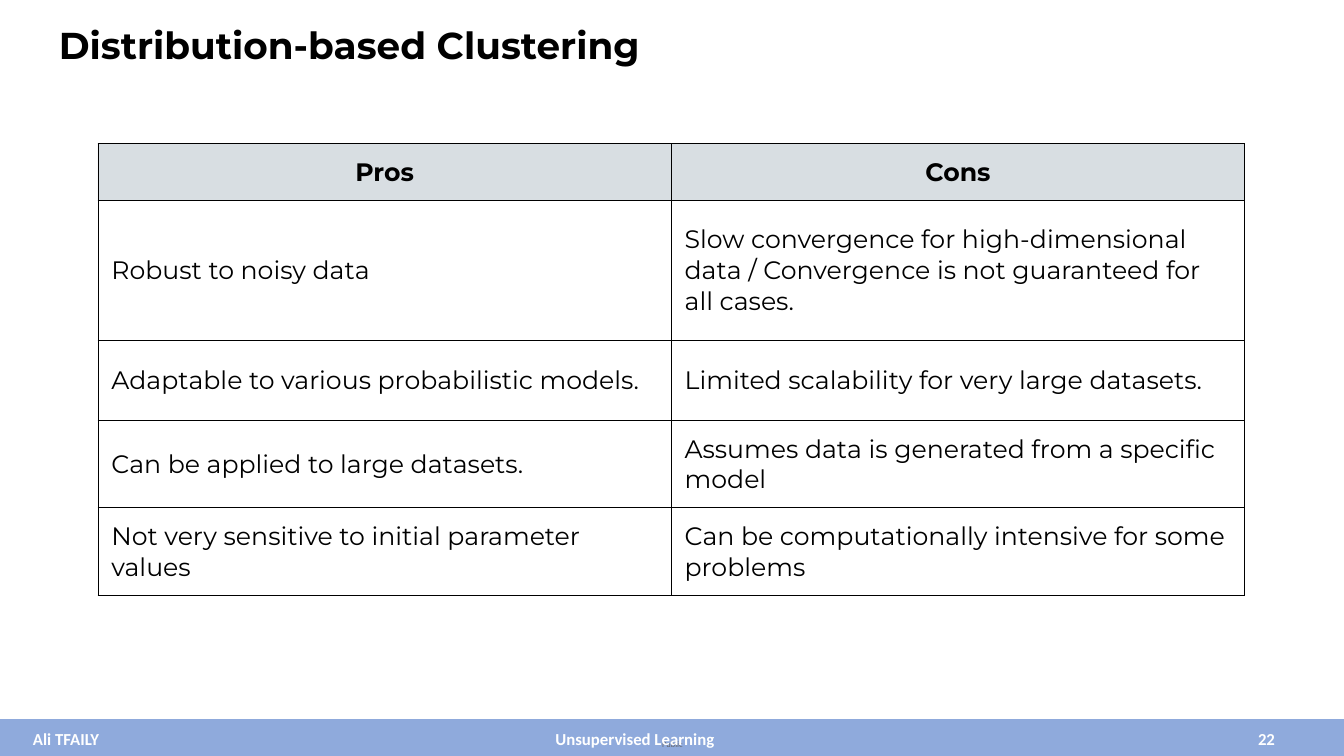
from lxml.etree import SubElement
from pptx import Presentation
from pptx.dml.color import RGBColor
from pptx.enum.shapes import MSO_SHAPE
from pptx.enum.text import MSO_ANCHOR, PP_ALIGN
from pptx.oxml.ns import qn
from pptx.util import Pt

BLACK, WHITE, GREY = "000000", "FFFFFF", "626469"
BAR_BLUE, HEADER_BLUE = "8FAADC", "4E6B7C"
HEADER_ALPHA = 22
CELL_INSET = 9.6
PROS_AND_CONS = [
    ("Pros", "Cons"),
    ("Robust to noisy data",
     "Slow convergence for high-dimensional data / "
     "Convergence is not guaranteed for all cases."),
    ("Adaptable to various probabilistic models.",
     "Limited scalability for very large datasets."),
    ("Can be applied to large datasets.",
     "Assumes data is generated from a specific model"),
    ("Not very sensitive to initial parameter values",
     "Can be computationally intensive for some problems"),
]
ROW_HEIGHTS = [36, 100, 57, 57, 57]
COLUMN_WIDTH = 409.5


def rgb(color):
    return RGBColor.from_string(color)


def style(paragraph, font, size, color, bold, align=PP_ALIGN.LEFT):
    paragraph.alignment = align
    paragraph.font.name = font
    paragraph.font.size = Pt(size)
    paragraph.font.bold = bold
    paragraph.font.color.rgb = rgb(color)


def set_insets(target, left, top, right, bottom):
    target.margin_left, target.margin_top = Pt(left), Pt(top)
    target.margin_right, target.margin_bottom = Pt(right), Pt(bottom)


def add_bar(slide, left, top, width, height):
    bar = slide.shapes.add_shape(
        MSO_SHAPE.RECTANGLE, Pt(left), Pt(top), Pt(width), Pt(height))
    bar.shadow.inherit = False
    bar.fill.solid()
    bar.fill.fore_color.rgb = rgb(BAR_BLUE)
    bar.line.color.rgb = rgb(BAR_BLUE)
    bar.line.width = Pt(1)


def add_text(slide, text, box, font="Calibri", size=12, color=WHITE, bold=True,
             align=PP_ALIGN.LEFT, anchor=MSO_ANCHOR.MIDDLE,
             insets=(7.2, 3.6, 7.2, 3.6), wrap=True):
    """Place one paragraph in box (left, top, width, height) and return it."""
    frame = slide.shapes.add_textbox(*map(Pt, box)).text_frame
    frame.word_wrap = wrap
    frame.vertical_anchor = anchor
    set_insets(frame, *insets)
    paragraph = frame.paragraphs[0]
    paragraph.text = text
    style(paragraph, font, size, color, bold, align)
    return paragraph


def add_borders(cell):
    properties = cell._tc.get_or_add_tcPr()
    for side in ("a:lnL", "a:lnR", "a:lnT", "a:lnB"):
        line = SubElement(properties, qn(side), w=str(Pt(0.75)))
        fill = SubElement(line, qn("a:solidFill"))
        SubElement(fill, qn("a:srgbClr"), val=BLACK)


def fill_header(cell):
    cell.fill.solid()
    cell.fill.fore_color.rgb = rgb(HEADER_BLUE)
    tint = cell._tc.tcPr.find(".//" + qn("a:solidFill") + "[last()]/" + qn("a:srgbClr")
                              + f"[@val='{HEADER_BLUE}']")
    SubElement(tint, qn("a:alpha"), val=str(HEADER_ALPHA * 1000))


def fill_cell(cell, text, is_header):
    cell.text = text
    cell.vertical_anchor = MSO_ANCHOR.MIDDLE
    set_insets(cell, *[CELL_INSET] * 4)
    style(cell.text_frame.paragraphs[0], "Montserrat", 18, BLACK, is_header,
          PP_ALIGN.CENTER if is_header else PP_ALIGN.LEFT)
    add_borders(cell)
    if is_header:
        fill_header(cell)
    else:
        cell.fill.background()


def add_comparison(slide, left, top):
    table = slide.shapes.add_table(
        len(PROS_AND_CONS), 2, Pt(left), Pt(top),
        Pt(2 * COLUMN_WIDTH), Pt(sum(ROW_HEIGHTS))).table
    table.horz_banding = False
    for column in table.columns:
        column.width = Pt(COLUMN_WIDTH)
    for index, (height, entries) in enumerate(zip(ROW_HEIGHTS, PROS_AND_CONS)):
        table.rows[index].height = Pt(height)
        for cell, entry in zip(table.rows[index].cells, entries):
            fill_cell(cell, entry, index == 0)


def main():
    presentation = Presentation()
    presentation.slide_width, presentation.slide_height = Pt(960), Pt(540)
    slide = presentation.slides.add_slide(presentation.slide_layouts[6])

    add_bar(slide, 0, 514, 960, 25.5)
    add_text(slide, "Public", (473, 527.7, 16, 7.2), size=6, color=GREY, bold=False,
             anchor=MSO_ANCHOR.TOP, insets=(0, 0, 0, 0), wrap=False)
    add_text(slide, "Ali TFAILY", (16.5, 513.7, 75, 28.8))
    add_text(slide, "22", (889, 518.5, 28, 18), insets=(9.6, 9.6, 0, 9.6))
    add_comparison(slide, 70, 102.5)
    title = add_text(slide, "Distribution-based Clustering", (32.4, 13.7, 670, 43),
                     font="Montserrat", size=26.7, color=BLACK,
                     anchor=MSO_ANCHOR.TOP, insets=(9.6, 5.8, 9.6, 5.8))
    title.line_spacing = 0.9
    add_text(slide, "Unsupervised Learning", (291.6, 513.7, 324, 28.8),
             align=PP_ALIGN.CENTER)

    presentation.save("out.pptx")


if __name__ == "__main__":
    main()
